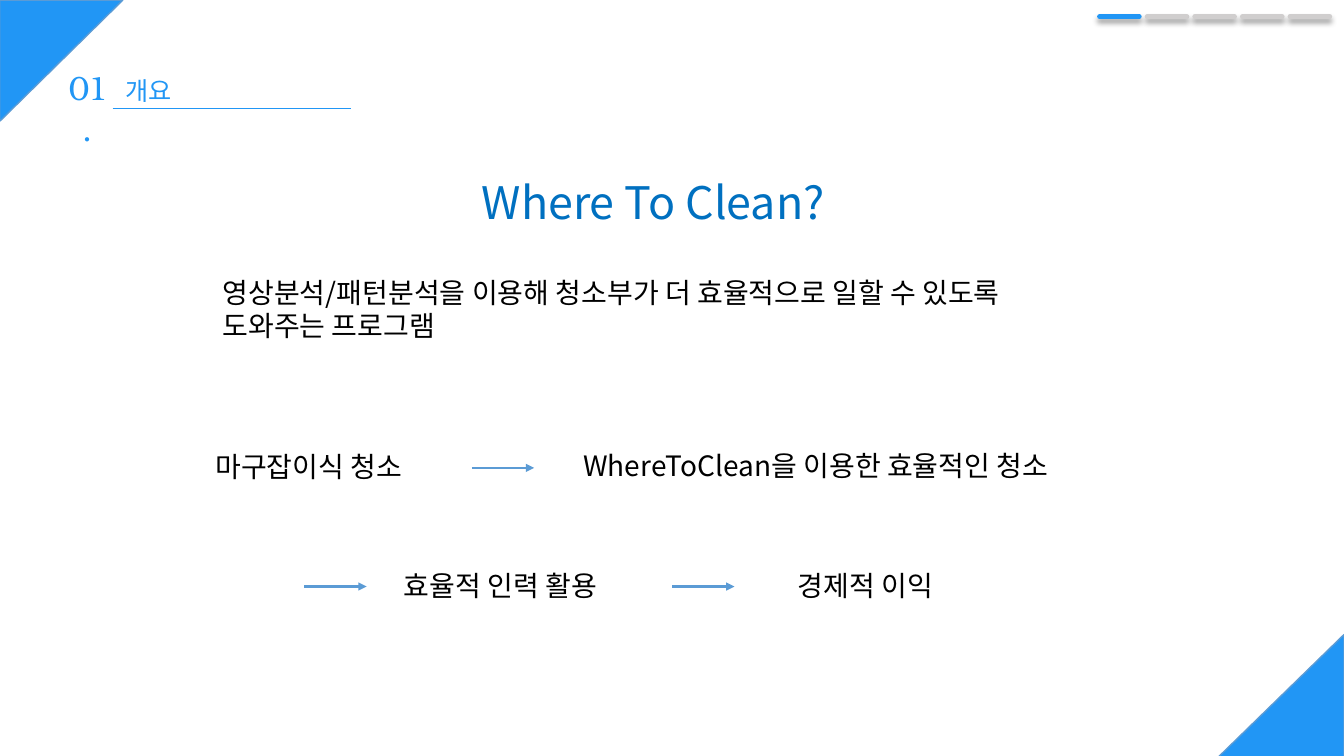
"""Build the overview slide of the Where To Clean? deck."""
from lxml import etree
from pptx import Presentation
from pptx import util as u
from pptx.dml.color import RGBColor
from pptx.enum import shapes, text
from pptx.oxml.ns import qn

BLUE, ARROW_BLUE, GREY = "2196F5", "5B9BD5", "D0CECE"
SANS, SERIF = "Noto Sans CJK KR", "TeX Gyre Bonum"

presentation = Presentation()
presentation.slide_width, presentation.slide_height = u.Cm(33.87), u.Cm(19.05)
slide = presentation.slides.add_slide(presentation.slide_layouts[6])


def add_text(content, left, top, width, height, size=20, color="000000",
             font=SANS, wrap=True, align=text.PP_ALIGN.LEFT, spacing=0):
    box = slide.shapes.add_textbox(u.Cm(left), u.Cm(top), u.Cm(width), u.Cm(height))
    frame = box.text_frame
    frame.word_wrap = wrap
    frame.auto_size = text.MSO_AUTO_SIZE.SHAPE_TO_FIT_TEXT
    paragraph = frame.paragraphs[0]
    paragraph.alignment = align
    run = paragraph.add_run()
    run.text = content
    run.font.size = u.Pt(size)
    run.font.name = font
    run.font.color.rgb = RGBColor.from_string(color)
    properties = run.font._element
    etree.SubElement(properties, qn("a:ea")).set("typeface", font)
    if spacing:
        properties.set("spc", str(int(spacing * 100)))


def add_line(left, top, length, color, width):
    line = slide.shapes.add_connector(
        shapes.MSO_CONNECTOR.STRAIGHT,
        u.Cm(left), u.Cm(top), u.Cm(left + length), u.Cm(top))
    line.line.color.rgb = RGBColor.from_string(color)
    line.line.width = u.Pt(width)
    outline = line.line._get_or_add_ln()
    effects = etree.SubElement(line._element.spPr, qn("a:effectLst"))
    return outline, effects


add_line(2.84, 2.74, 6, BLUE, 0.5)
add_text("01.", 1.4, 1.57, 1.6, 1.27, size=24, color=BLUE, font=SERIF,
         align=text.PP_ALIGN.CENTER, spacing=-1.5)
add_text("개요", 2.92, 1.78, 1.8, 1.02, size=18, color=BLUE, wrap=False)

for left, top, width, height, rotation in (
        (30.73, 15.95, 3.1, 3.18, 270), (0.02, -0.02, 3.05, 3.1, 90)):
    corner = slide.shapes.add_shape(
        shapes.MSO_SHAPE.RIGHT_TRIANGLE,
        u.Cm(left), u.Cm(top), u.Cm(width), u.Cm(height))
    corner.rotation = rotation
    corner.shadow.inherit = False
    corner.fill.solid()
    corner.fill.fore_color.rgb = RGBColor.from_string(BLUE)
    corner.line.color.rgb = RGBColor.from_string(ARROW_BLUE)
    corner.line.width = u.Pt(1)

for step in range(5):
    outline, effects = add_line(27.71 + 1.2 * step, 0.42, 1,
                                GREY if step else BLUE, 3.5)
    outline.set("cap", "rnd")
    shadow = etree.SubElement(
        effects, qn("a:outerShdw"), blurRad=str(u.Pt(4)), dist=str(u.Pt(3)),
        dir="5400000", algn="t", rotWithShape="0")
    shade = etree.SubElement(shadow, qn("a:srgbClr"), val="000000")
    etree.SubElement(shade, qn("a:alpha"), val="40000")

add_text("Where To Clean?", 11.89, 4.29, 12.5, 1.63, size=32, color="0070C0")
add_text("영상분석/패턴분석을 이용해 청소부가 더 효율적으로 일할 수 있도록 도와주는 프로그램",
         5.36, 6.81, 22.35, 1.96)

for label, left, top, width in (
        ("마구잡이식 청소", 5.18, 11.2, 6),
        ("WhereToClean을 이용한 효율적인 청소", 14.45, 11.18, 13.77),
        ("효율적 인력 활용", 9.93, 14.2, 6),
        ("경제적 이익", 19.86, 14.2, 6)):
    add_text(label, left, top, width, 1.12)

for left, top in ((11.89, 11.79), (7.67, 14.78), (16.94, 14.78)):
    outline, _ = add_line(left, top, 1.57, ARROW_BLUE, 1.5)
    etree.SubElement(outline, qn("a:tailEnd"), type="triangle")

presentation.save("out.pptx")
